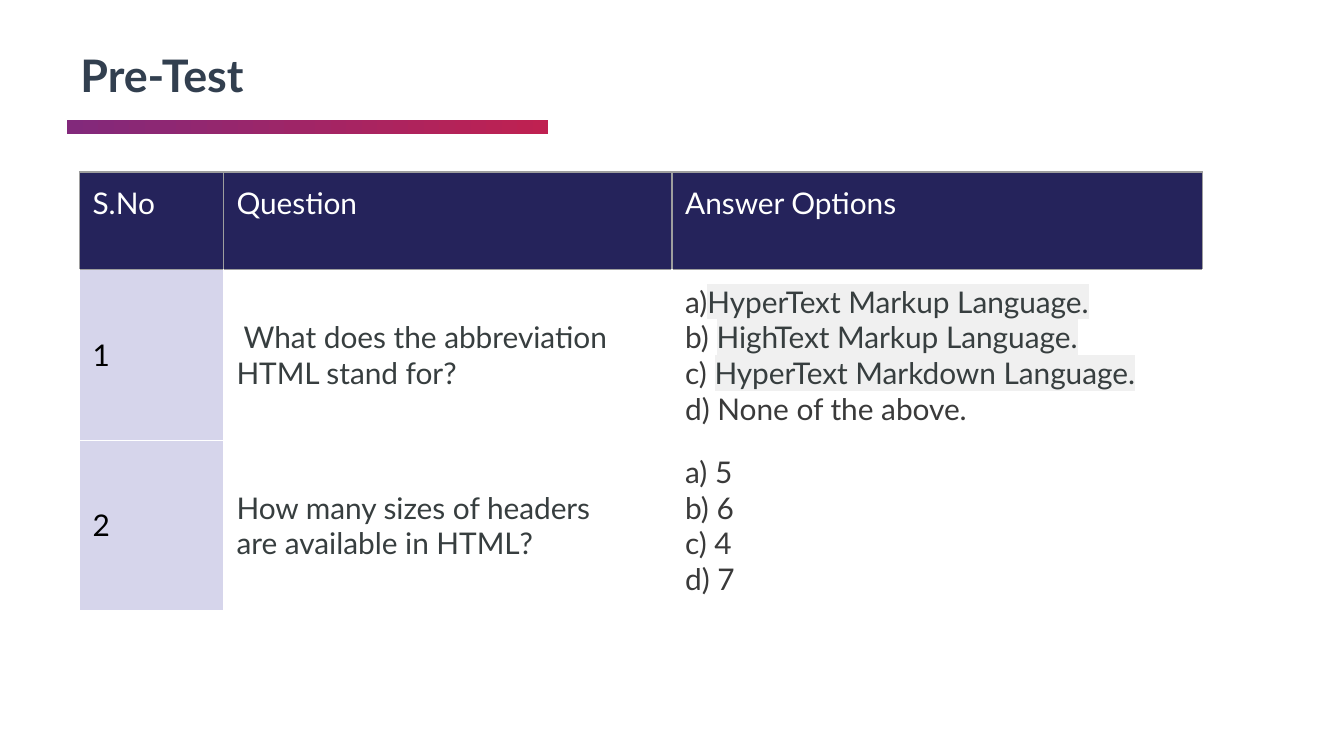
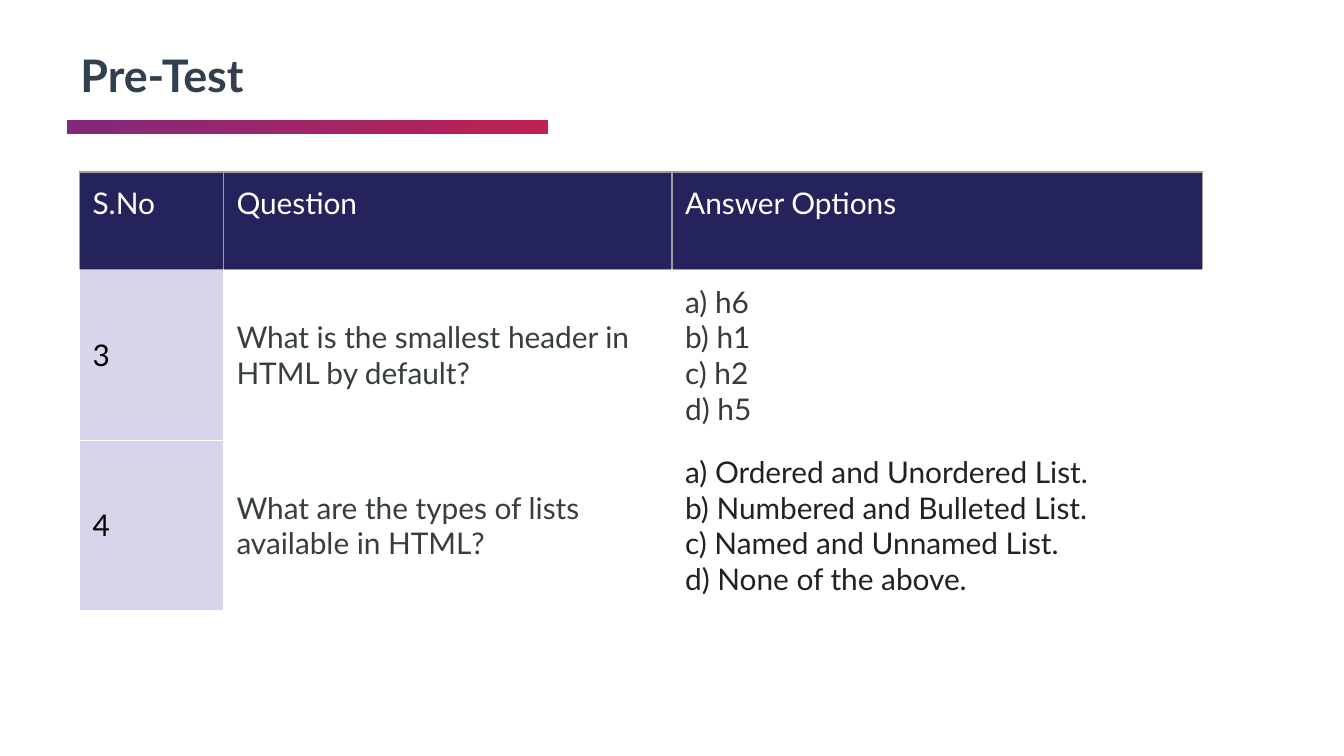
from dataclasses import dataclass

from lxml.etree import SubElement
from pptx import Presentation
from pptx.dml.color import RGBColor
from pptx.enum.shapes import MSO_SHAPE
from pptx.enum.text import MSO_ANCHOR, MSO_AUTO_SIZE
from pptx.oxml import parse_xml
from pptx.oxml.ns import nsdecls, qn
from pptx.util import Cm, Pt

# Content: each option is a label and, where marked, a highlighted text
TITLE = "Pre-Test"
HEADINGS = ("S.No", "Question", "Answer Options")
PAGES = [
    [
        {"number": "1", "question": " What does the abbreviation HTML stand for?",
         "options": [("a)", "HyperText Markup Language."),
                     ("b) ", "HighText Markup Language."),
                     ("c) ", "HyperText Markdown Language."),
                     ("d) None of the above.",)]},
        {"number": "2", "question": "How many sizes of headers are available in HTML?",
         "options": [("a) 5",), ("b) 6",), ("c) 4",), ("d) 7",)]},
    ],
    [
        {"number": "3", "question": "What is the smallest header in HTML by default?",
         "options": [("a) h6",), ("b) h1",), ("c) h2",), ("d) h5",)]},
        {"number": "4", "question": "What are the types of lists available in HTML?",
         "options": [("a) Ordered and Unordered List.",),
                     ("b) Numbered and Bulleted List.",),
                     ("c) Named and Unnamed List.",),
                     ("d) None of the above.",)],
         "option_color": "222222"},
    ],
]


@dataclass(frozen=True)
class Theme:
    font: str = "Lato"
    title_size: int = 24
    table_size: int = 16
    title: str = "323F4F"
    bar_start: str = "82297B"
    bar_end: str = "BF2151"
    header: str = "25235B"
    number_fill: str = "D6D5EB"
    white: str = "FFFFFF"
    black: str = "000000"
    question: str = "373E3F"
    option: str = "3A3A3A"
    highlight: str = "F0F0F0"
    grid: str = "9E9E9E"


THEME = Theme()
INSET = Cm(0.25)
WIDE_INSET = Cm(0.76)
COLUMNS = (Cm(2.72), Cm(8.48), Cm(10.03))
ROWS = (Cm(1.85), Cm(3.22), Cm(3.22))


def set_values(target, values):
    for name, value in values.items():
        setattr(target, name, value)


def add_span(para, text, color, size=THEME.table_size, bold=False, highlight=None):
    span = para.add_run()
    span.text = text
    set_values(span.font, {"name": THEME.font, "size": Pt(size), "bold": bold})
    span.font.color.rgb = RGBColor.from_string(color)
    if highlight:
        mark = parse_xml(f'<a:highlight {nsdecls("a")}><a:srgbClr val="{highlight}"/></a:highlight>')
        span.font._element.find(qn("a:solidFill")).addnext(mark)


def add_title(page):
    box = page.shapes.add_textbox(Cm(1.27), Cm(0.76), Cm(8.33), Cm(1.45))
    frame = box.text_frame
    set_values(frame, {
        "word_wrap": True, "auto_size": MSO_AUTO_SIZE.SHAPE_TO_FIT_TEXT,
        "margin_left": INSET, "margin_right": INSET,
        "margin_top": INSET, "margin_bottom": INSET,
    })
    para = frame.paragraphs[0]
    para.line_spacing = 0.9
    add_span(para, TITLE, THEME.title, THEME.title_size, bold=True)


def add_bar(page):
    bar = page.shapes.add_shape(MSO_SHAPE.RECTANGLE, Cm(1.27), Cm(2.26), Cm(9.09), Cm(0.28))
    bar.shadow.inherit = False
    bar.line.fill.background()
    bar.fill.gradient()
    bar.fill.gradient_angle = 0
    for stop, color in zip(bar.fill.gradient_stops, (THEME.bar_start, THEME.bar_end)):
        stop.color.rgb = RGBColor.from_string(color)


def set_borders(cell, color, top):
    properties = cell._tc.get_or_add_tcPr()
    sides = {"lnL": color, "lnR": color, "lnT": top, "lnB": color}
    for position, (side, side_color) in enumerate(sides.items()):
        line = SubElement(properties, qn(f"a:{side}"), w=str(Pt(0.75)))
        fill = SubElement(line, qn("a:solidFill"))
        SubElement(fill, qn("a:srgbClr"), val=side_color)
        properties.insert(position, line)


def fill_cell(cell, lines, fill=None, anchor=MSO_ANCHOR.MIDDLE, right=INSET,
              border=THEME.white, top=THEME.white):
    """Each line is a list of (text, color, highlight) spans."""
    set_values(cell, {
        "margin_left": INSET, "margin_right": right, "margin_top": INSET,
        "margin_bottom": INSET, "vertical_anchor": anchor,
    })
    if fill:
        cell.fill.solid()
        cell.fill.fore_color.rgb = RGBColor.from_string(fill)
    else:
        cell.fill.background()
    set_borders(cell, border, top)
    frame = cell.text_frame
    for index, spans in enumerate(lines):
        para = frame.add_paragraph() if index else frame.paragraphs[0]
        for text, color, highlight in spans:
            add_span(para, text, color, highlight=highlight)


def option_line(option, color):
    label, *marked = option
    return [(label, color, None)] + [(text, THEME.question, THEME.highlight) for text in marked]


def add_questions(page, questions):
    table = page.shapes.add_table(len(ROWS), len(COLUMNS), Cm(1.5), Cm(3.25),
                                  sum(COLUMNS), sum(ROWS)).table
    set_values(table, {"first_row": False, "horz_banding": False})
    for column, width in zip(table.columns, COLUMNS):
        column.width = width
    for row, height in zip(table.rows, ROWS):
        row.height = height

    # Header row
    for index, heading in enumerate(HEADINGS):
        fill_cell(table.cell(0, index), [[(heading, THEME.white, None)]], THEME.header,
                  MSO_ANCHOR.TOP, border=THEME.grid, top=THEME.grid)

    # Question rows
    for index, item in enumerate(questions, 1):
        top = THEME.grid if index == 1 else THEME.white
        color = item.get("option_color", THEME.option)
        options = [option_line(option, color) for option in item["options"]]
        fill_cell(table.cell(index, 0), [[(item["number"], THEME.black, None)]],
                  THEME.number_fill, top=top)
        fill_cell(table.cell(index, 1), [[(item["question"], THEME.question, None)]],
                  right=WIDE_INSET, top=top)
        fill_cell(table.cell(index, 2), options, right=WIDE_INSET, top=top)


def main():
    deck = Presentation()
    set_values(deck, {"slide_width": Cm(25.4), "slide_height": Cm(14.29)})
    for questions in PAGES:
        page = deck.slides.add_slide(deck.slide_layouts[6])
        add_bar(page)
        add_title(page)
        add_questions(page, questions)
    deck.save("out.pptx")


if __name__ == "__main__":
    main()
